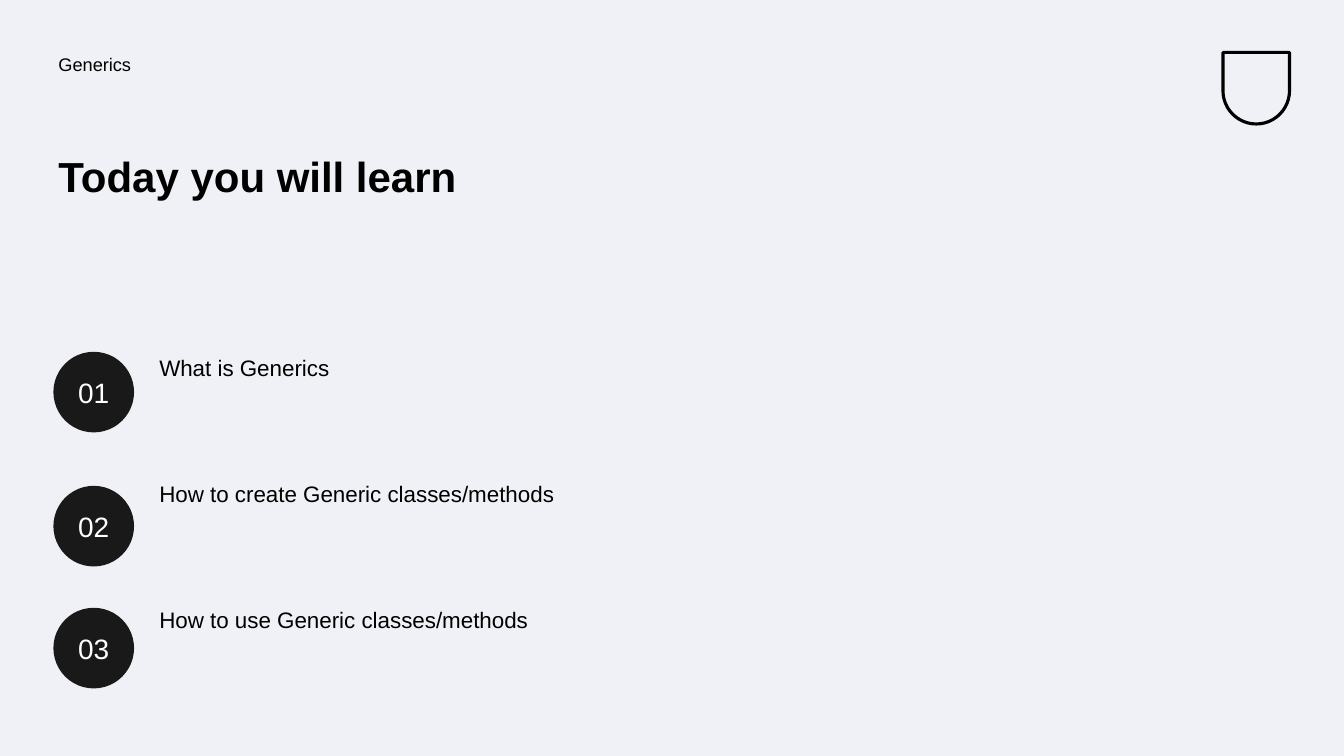
from dataclasses import dataclass

from pptx import Presentation
from pptx.dml.color import RGBColor
from pptx.enum.shapes import MSO_SHAPE
from pptx.enum.text import MSO_ANCHOR, MSO_AUTO_SIZE, PP_ALIGN
from pptx.shapes.autoshape import Shape
from pptx.slide import Slide
from pptx.util import Inches, Pt

ELLIPSE, BADGE = MSO_SHAPE.OVAL, MSO_SHAPE.ROUND_2_SAME_RECTANGLE
TOP, MIDDLE = MSO_ANCHOR.TOP, MSO_ANCHOR.MIDDLE
LEFT, CENTER = PP_ALIGN.LEFT, PP_ALIGN.CENTER
NO_AUTOFIT = MSO_AUTO_SIZE.NONE

COLORS = {"background": "F0F1F6", "ink": "000000", "circle": "191919", "number": "FEFFFF"}
FONT = "Arial"
MARGIN = 0.53
INSET = 0.05
CIRCLE_SIZE = 0.8
TOPIC_LEFT, TOPIC_TOP, TOPIC_STEP = 1.53, 3.49, 1.25


@dataclass
class Topic:
    text: str
    circle_top: float


TOPICS = [
    Topic("What is Generics", 3.49),
    Topic("How to create Generic classes/methods", 4.82),
    Topic("How to use Generic classes/methods", 6.03),
]


def color(name: str) -> RGBColor:
    return RGBColor.from_string(COLORS[name])


def write(s: Shape, text: str, size: float, ink: str = "ink", bold: bool = False,
          align: PP_ALIGN = LEFT, anchor: MSO_ANCHOR = TOP, spacing: float = 0.9) -> None:
    tf = s.text_frame
    inset = Inches(INSET)
    frame_format = {
        "margin_left": inset, "margin_top": inset, "margin_right": inset,
        "margin_bottom": inset, "word_wrap": True, "auto_size": NO_AUTOFIT,
        "vertical_anchor": anchor,
    }
    for name, value in frame_format.items():
        setattr(tf, name, value)
    p = tf.paragraphs[0]
    p.alignment, p.line_spacing = align, spacing
    r = p.add_run()
    r.text = text
    for name, value in {"name": FONT, "size": Pt(size), "bold": bold}.items():
        setattr(r.font, name, value)
    r.font.color.rgb = color(ink)


def add_title(slide: Slide, text: str) -> None:
    s = slide.shapes.title
    box = {"left": MARGIN, "top": 1.5, "width": 5.64, "height": 1.49}
    for name, value in box.items():
        setattr(s, name, Inches(value))
    write(s, text, 30, bold=True)


def add_text(slide: Slide, text: str, left: float, top: float,
             width: float, height: float, size: float) -> None:
    s = slide.shapes.add_textbox(Inches(left), Inches(top), Inches(width), Inches(height))
    write(s, text, size)


def add_number(slide: Slide, number: int, top: float) -> None:
    size = Inches(CIRCLE_SIZE)
    s = slide.shapes.add_shape(ELLIPSE, Inches(MARGIN), Inches(top), size, size)
    s.shadow.inherit = False
    s.fill.solid()
    s.fill.fore_color.rgb = color("circle")
    s.line.fill.background()
    write(s, f"{number:02}", 20, "number", align=CENTER, anchor=MIDDLE, spacing=1.0)


def add_badge(slide: Slide) -> None:
    """Draw the plain outlined shield in the top right corner."""
    s = slide.shapes.add_shape(BADGE, Inches(12.13), Inches(0.52), Inches(0.66), Inches(0.71))
    s.adjustments[0], s.adjustments[1] = 0, 0.5
    s.shadow.inherit = False
    s.fill.background()
    s.line.color.rgb = color("ink")
    s.line.width = Pt(2.25)


def main() -> None:
    prs = Presentation()
    prs.slide_width, prs.slide_height = Inches(13.33), Inches(7.5)
    slide = prs.slides.add_slide(prs.slide_layouts.get_by_name("Title Only"))
    slide.background.fill.solid()
    slide.background.fill.fore_color.rgb = color("background")

    add_badge(slide)
    add_text(slide, "Generics", MARGIN, 0.5, 6.14, 0.5, 13)
    add_title(slide, "Today you will learn")
    for i, topic in enumerate(TOPICS):
        add_text(slide, topic.text, TOPIC_LEFT, TOPIC_TOP + i * TOPIC_STEP, 4.63, 0.99, 16)
        add_number(slide, i + 1, topic.circle_top)

    prs.save("out.pptx")


if __name__ == "__main__":
    main()
